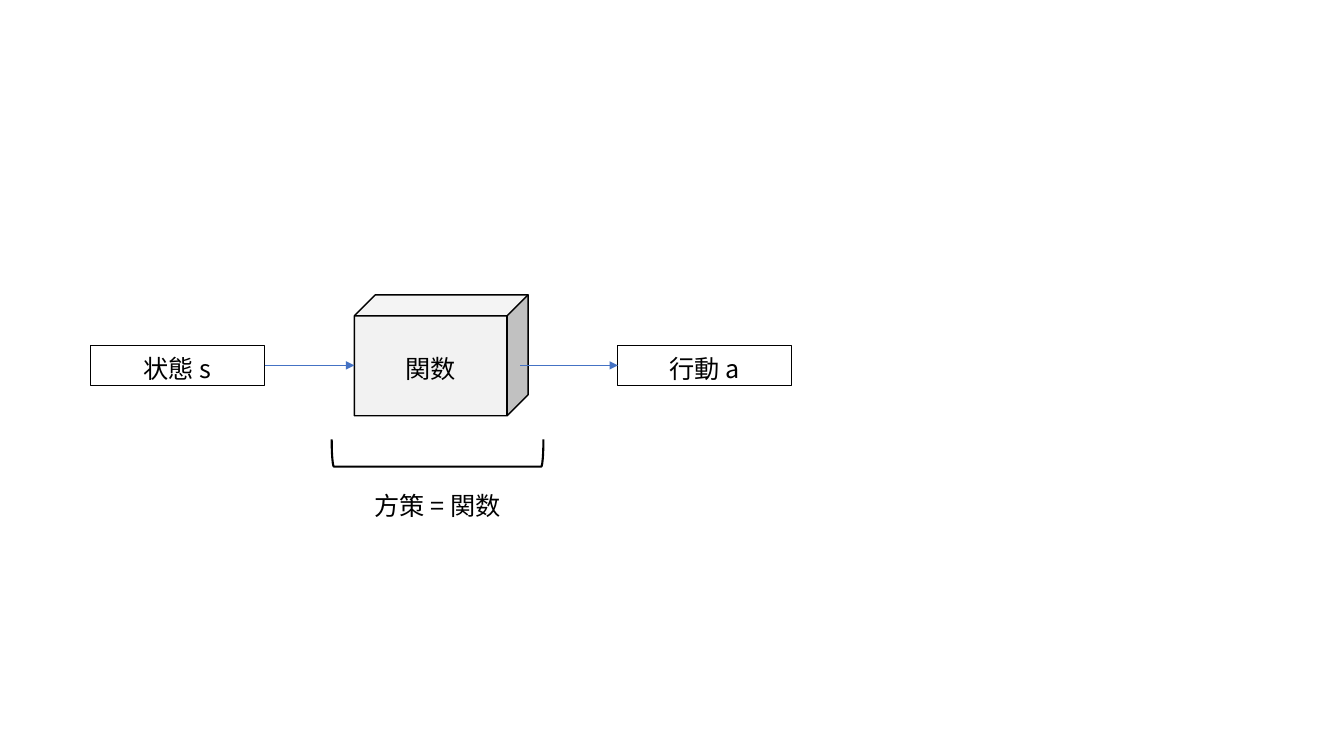
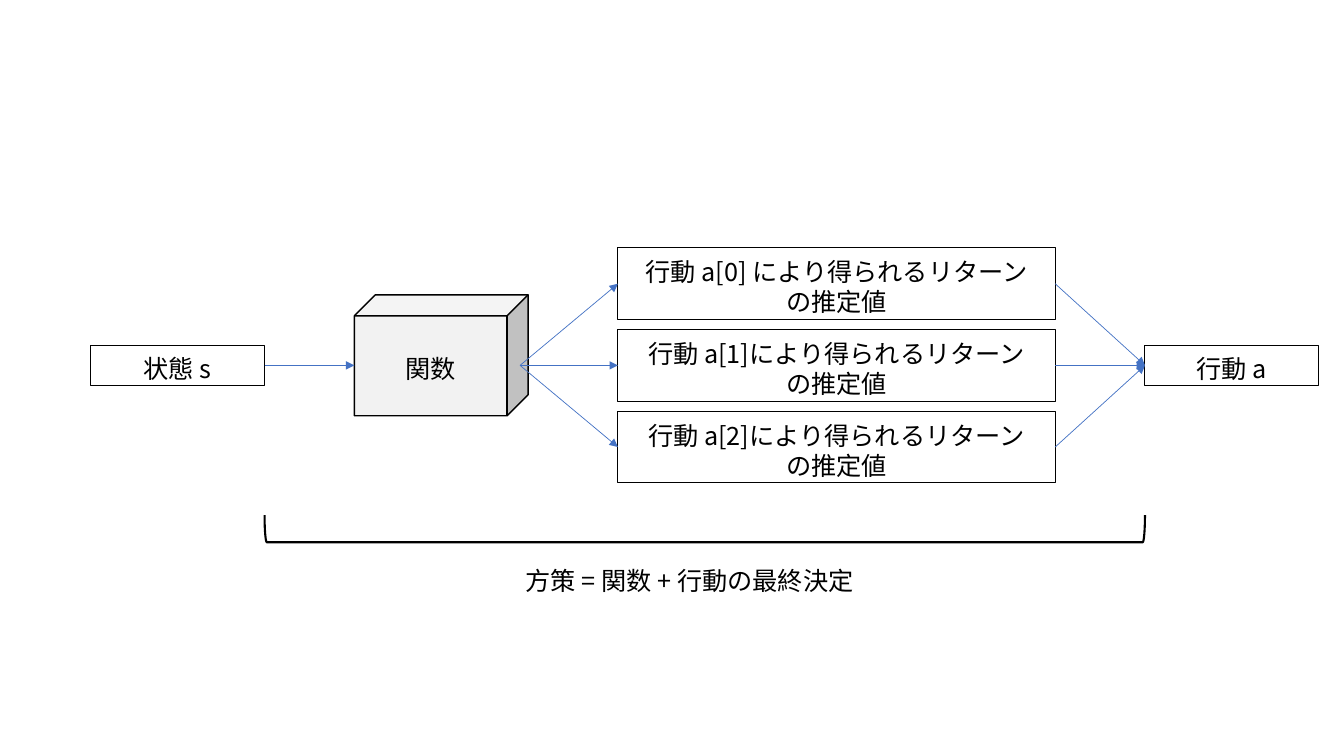
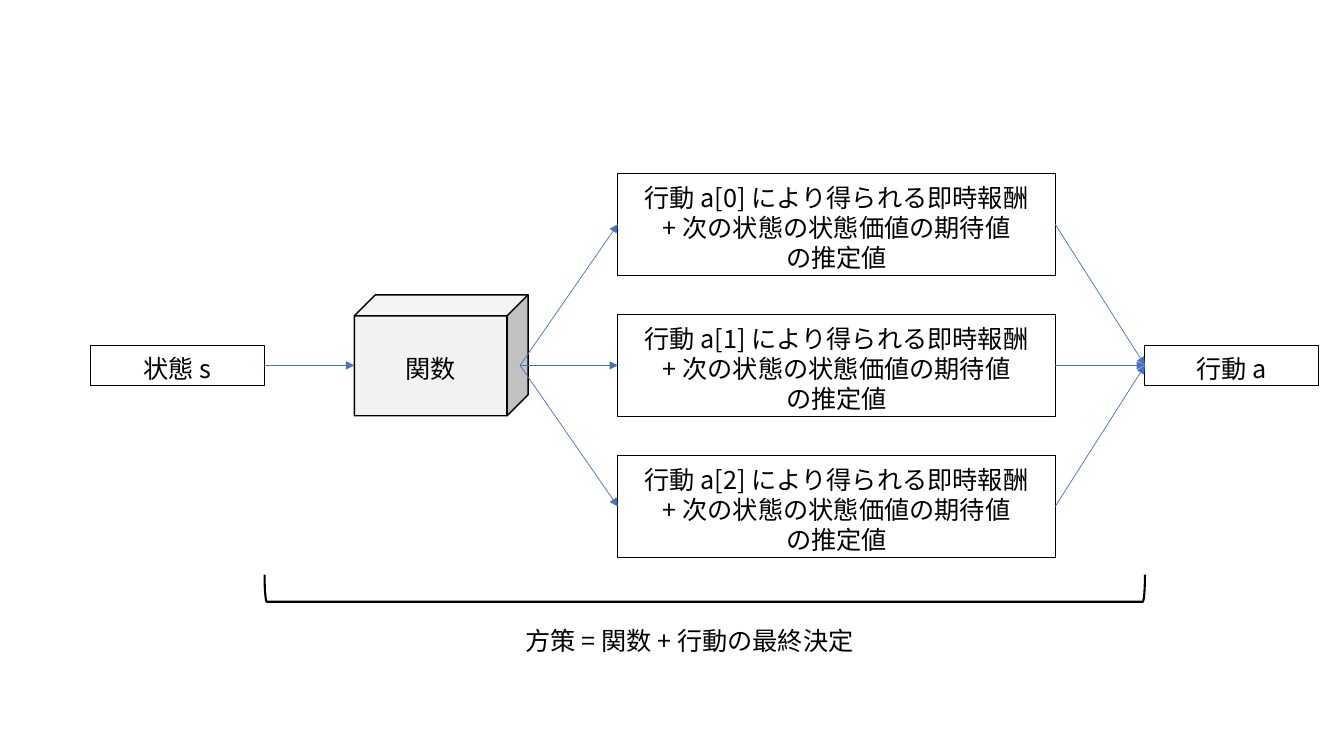
from collections import namedtuple
from dataclasses import dataclass

from lxml import etree
from pptx import Presentation
from pptx.dml.color import RGBColor
from pptx.enum.shapes import MSO_CONNECTOR, MSO_SHAPE
from pptx.enum.text import MSO_ANCHOR, PP_ALIGN
from pptx.oxml.ns import qn
from pptx.util import Inches, Pt

RECT, CUBE, BRACKET = MSO_SHAPE.RECTANGLE, MSO_SHAPE.CUBE, MSO_SHAPE.LEFT_BRACKET
STRAIGHT = MSO_CONNECTOR.STRAIGHT
MIDDLE, CENTER = MSO_ANCHOR.MIDDLE, PP_ALIGN.CENTER
LEFT, RIGHT = 1, 3

Box = namedtuple("Box", "x y w h")


@dataclass(frozen=True)
class Theme:
    font: str = "Noto Sans CJK JP"
    size: float = 18
    pitch: float = 21.6
    ink: str = "000000"
    paper: str = "FFFFFF"
    face: str = "F2F2F2"
    arrow: str = "4472C4"
    thin: float = 0.5
    edge: float = 0.75
    solid: float = 1
    bold: float = 1.5


THEME = Theme()
WIDE, HIGH = 13.33, 7.5

# Five columns with equal gaps; the middle line carries the flow
FLOW = Box(0.9, 1.72, 12.18, 3.81)
GAP = 0.89
CELL = (FLOW.w - 4 * GAP) / 5
ROW = 0.4
FRAME = {"margin_left": Inches(0.1), "margin_right": Inches(0.1),
         "margin_top": Inches(0.08), "margin_bottom": Inches(0.02),
         "word_wrap": True, "vertical_anchor": MIDDLE}


def span(box, col, count=1, high=ROW, shift=0):
    """Cells of the grid, centred on the box's middle line."""
    return Box(box.x + col * (CELL + GAP), box.y + box.h / 2 - high / 2 + shift,
               count * CELL + (count - 1) * GAP, high)


def write(shape, lines):
    frame = shape.text_frame
    for name, value in FRAME.items():
        setattr(frame, name, value)
    for i, line in enumerate(lines):
        para = frame.paragraphs[0] if i == 0 else frame.add_paragraph()
        para.alignment, para.line_spacing = CENTER, Pt(THEME.pitch)
        run = para.add_run()
        run.text = line
        run.font.size, run.font.name = Pt(THEME.size), THEME.font
        run.font.color.rgb = RGBColor.from_string(THEME.ink)
        east = etree.SubElement(run.font._element, qn("a:ea"))
        east.set("typeface", THEME.font)


def draw(slide, kind, box, lines=(), line=THEME.ink, width=THEME.edge, fill=None):
    shape = slide.shapes.add_shape(kind, *map(Inches, box))
    shape.shadow.inherit = False
    if fill:
        shape.fill.solid()
        shape.fill.fore_color.rgb = RGBColor.from_string(fill)
    else:
        shape.fill.background()
    shape.line.color.rgb = RGBColor.from_string(line)
    shape.line.width = Pt(width)
    if lines:
        write(shape, lines)
    return shape


def link(slide, start, end, first=None, last=None):
    """Arrow between two points, joined to the shapes that are given."""
    line = slide.shapes.add_connector(STRAIGHT, *map(Inches, (*start, *end)))
    if first:
        line.begin_connect(first, RIGHT)
    if last:
        line.end_connect(last, LEFT)
    line.line.color.rgb = RGBColor.from_string(THEME.arrow)
    line.line.width = Pt(THEME.thin)
    tail = etree.SubElement(line.line._get_or_add_ln(), qn("a:tailEnd"))
    tail.set("type", "triangle")
    etree.SubElement(line._element.spPr, qn("a:effectLst"))


def source(slide, box):
    """State and function; returns the point where arrows leave the cube."""
    mid = box.y + box.h / 2
    spot = span(box, 0)
    state = draw(slide, RECT, spot, ["状態 s"])
    cell = span(box, 1, high=1.2, shift=-0.1)
    cube = draw(slide, CUBE, cell, ["関数"], width=THEME.solid, fill=THEME.face)
    cube.adjustments[0] = 0.174
    link(slide, (spot.x + spot.w, mid), (cell.x, mid), first=state)
    return cell.x + cell.w - 0.08, mid


def choices(slide, box, out, texts, high, step):
    """Rows of estimates, fanned out from the cube and in to the action."""
    spot = span(box, 4)
    goal = draw(slide, RECT, spot, ["行動 a"])
    for i, lines in enumerate(texts):
        cell = span(box, 2, 2, high, (i - (len(texts) - 1) / 2) * step)
        rect = draw(slide, RECT, cell, lines)
        mid = cell.y + high / 2
        link(slide, out, (cell.x, mid), last=rect)
        link(slide, (cell.x + cell.w, mid), (spot.x, out[1]), rect, goal)


def policy(slide, box, text, shift=0.0):
    """Bracket that fills the box, with a caption below it."""
    mid = box.x + box.w / 2
    turned = Box(mid - box.h / 2, box.y + box.h / 2 - box.w / 2, box.h, box.w)
    draw(slide, BRACKET, turned, width=THEME.bold).rotation = 270
    draw(slide, RECT, Box(mid - 2.32 + shift, box.y + 0.42, 4.64, ROW), [text],
         line=THEME.paper)


def direct(slide, box):
    """The function gives the action itself."""
    out = source(slide, box)
    spot = span(box, 2)
    goal = draw(slide, RECT, spot, ["行動 a"])
    link(slide, out, (spot.x, out[1]), last=goal)
    policy(slide, Box(3.29, 4.36, 2.1, 0.27), "方策 = 関数")


def valued(slide, box, texts, high, step, base):
    """The function gives estimates, from which the action is chosen."""
    choices(slide, box, source(slide, box), texts, high, step)
    start, end = box.x + CELL, span(box, 4).x
    policy(slide, Box(start, base, end - start, 0.27),
           "方策 = 関数 + 行動の最終決定", -0.15)


def main():
    deck = Presentation()
    deck.slide_width, deck.slide_height = Inches(WIDE), Inches(HIGH)
    one, two, three = (deck.slides.add_slide(deck.slide_layouts[6]) for _ in range(3))

    direct(one, FLOW)
    gains = [[f"行動 {name}により得られるリターン", "の推定値"]
             for name in ("a[0] ", "a[1]", "a[2]")]
    valued(two, FLOW, gains, 0.71, 0.81, 5.11)
    worths = [[f"行動 a[{i}] により得られる即時報酬",
               "+ 次の状態の状態価値の期待値", "の推定値"] for i in range(3)]
    valued(three, FLOW, worths, 1.01, 1.4, 5.7)
    deck.save("out.pptx")


if __name__ == "__main__":
    main()
